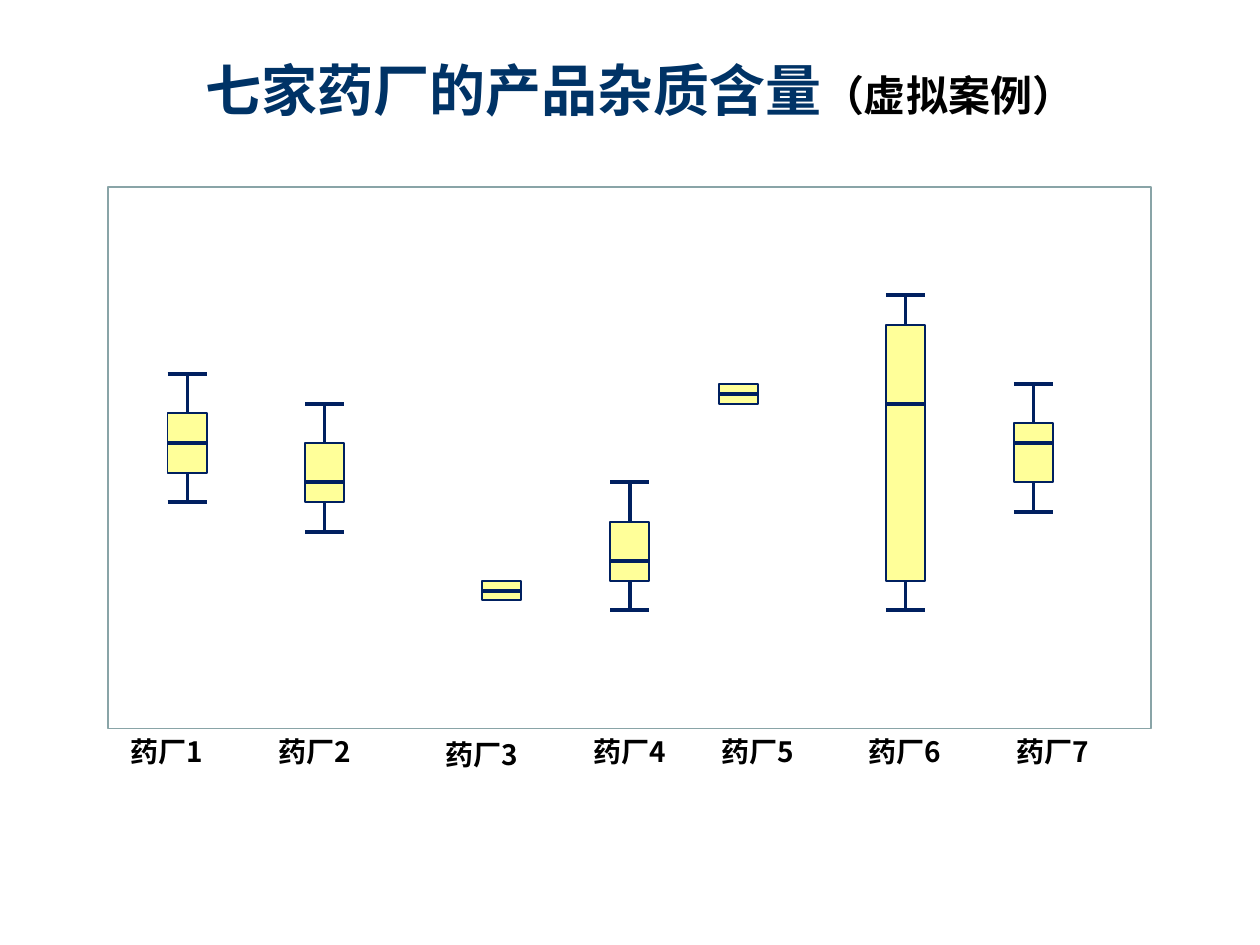
import dataclasses

import lxml.etree
import pptx
import pptx.dml.color
import pptx.enum.shapes
import pptx.enum.text
import pptx.oxml.ns
import pptx.util

Cm = pptx.util.Cm
Pt = pptx.util.Pt


@dataclasses.dataclass(frozen=True)
class Theme:
    font: str = "Noto Sans CJK SC"
    title_size: int = 32
    note_size: int = 24
    label_size: int = 16
    title: str = "003366"
    text: str = "000000"
    frame: str = "89A4A7"
    ink: str = "002060"
    box: str = "FFFF99"
    outline: int = 1
    stroke: int = 2


@dataclasses.dataclass(frozen=True)
class Plant:
    name: str
    left: float
    label_left: float
    upper: float
    median: float
    lower: float
    high: float | None = None
    low: float | None = None
    label_top: float = 14.68


BOX_WIDTH = 0.79
LABEL_WIDTH = 2.18
LABEL_HEIGHT = 0.94
TOP_SIDE, BOTTOM_SIDE = 0, 2

PLANTS = [
    Plant("药厂1", 3.38, 2.38, 8.33, 8.93, 9.53, 7.54, 10.12),
    Plant("药厂2", 6.15, 5.36, 8.93, 9.72, 10.12, 8.14, 10.72),
    Plant("药厂3", 9.72, 8.73, 11.71, 11.91, 12.1, label_top=14.74),
    Plant("药厂4", 12.3, 11.71, 10.52, 11.31, 11.71, 9.72, 12.3),
    Plant("药厂5", 14.49, 14.29, 7.74, 7.94, 8.14),
    Plant("药厂6", 17.86, 17.26, 6.55, 8.14, 11.71, 5.95, 12.3),
    Plant("药厂7", 20.44, 20.24, 8.53, 8.93, 9.72, 7.74, 10.32),
]


class Painter:
    def __init__(self, page, theme):
        self.page = page
        self.theme = theme

    def color(self, value):
        return pptx.dml.color.RGBColor.from_string(value)

    def rectangle(self, left, top, width, height, line, fill=None):
        shape = self.page.shapes.add_shape(
            pptx.enum.shapes.MSO_SHAPE.RECTANGLE,
            Cm(left), Cm(top), Cm(width), Cm(height))
        shape.shadow.inherit = False
        if fill:
            shape.fill.solid()
            shape.fill.fore_color.rgb = self.color(fill)
        else:
            shape.fill.background()
        shape.line.color.rgb = self.color(line)
        shape.line.width = Pt(self.theme.outline)
        return shape

    def line(self, x1, y1, x2, y2):
        connector = self.page.shapes.add_connector(
            pptx.enum.shapes.MSO_CONNECTOR.STRAIGHT,
            Cm(x1), Cm(y1), Cm(x2), Cm(y2))
        connector.line.color.rgb = self.color(self.theme.ink)
        connector.line.width = Pt(self.theme.stroke)
        lxml.etree.SubElement(
            connector._element.spPr, pptx.oxml.ns.qn("a:effectLst"))
        return connector

    def text(self, left, top, width, height, runs, align):
        box = self.page.shapes.add_textbox(
            Cm(left), Cm(top), Cm(width), Cm(height))
        frame = box.text_frame
        frame.word_wrap = True
        frame.auto_size = pptx.enum.text.MSO_AUTO_SIZE.SHAPE_TO_FIT_TEXT
        para = frame.paragraphs[0]
        para.alignment = align
        for words, size, color in runs:
            span = para.add_run()
            span.text = words
            span.font.name = self.theme.font
            span.font.size = Pt(size)
            span.font.bold = True
            span.font.color.rgb = self.color(color)
            east_asian = lxml.etree.SubElement(
                span._r.get_or_add_rPr(), pptx.oxml.ns.qn("a:ea"))
            east_asian.set("typeface", self.theme.font)

    def box_plot(self, plant):
        theme = self.theme
        right = plant.left + BOX_WIDTH
        middle = plant.left + BOX_WIDTH / 2
        box = self.rectangle(plant.left, plant.upper, BOX_WIDTH,
                             plant.lower - plant.upper, theme.ink, theme.box)
        self.line(plant.left, plant.median, right, plant.median)
        whiskers = ((plant.upper, plant.high, TOP_SIDE),
                    (plant.lower, plant.low, BOTTOM_SIDE))
        for edge, extreme, side in whiskers:
            if extreme is not None:
                whisker = self.line(middle, edge, middle, extreme)
                whisker.begin_connect(box, side)
                self.line(plant.left, extreme, right, extreme)
        self.text(plant.label_left, plant.label_top, LABEL_WIDTH, LABEL_HEIGHT,
                  [(plant.name, theme.label_size, theme.text)],
                  pptx.enum.text.PP_ALIGN.LEFT)


def main():
    deck = pptx.Presentation()
    deck.slide_width = Cm(25.4)
    deck.slide_height = Cm(19.05)
    page = deck.slides.add_slide(deck.slide_layouts[6])
    theme = Theme()
    painter = Painter(page, theme)
    painter.rectangle(2.18, 3.77, 21.03, 10.92, theme.frame)
    painter.text(2.58, 0.99, 20.63, 1.63,
                 [("七家药厂的产品杂质含量", theme.title_size, theme.title),
                  ("（虚拟案例）", theme.note_size, theme.text)],
                 pptx.enum.text.PP_ALIGN.CENTER)
    for plant in PLANTS:
        painter.box_plot(plant)
    deck.save("out.pptx")


if __name__ == "__main__":
    main()
